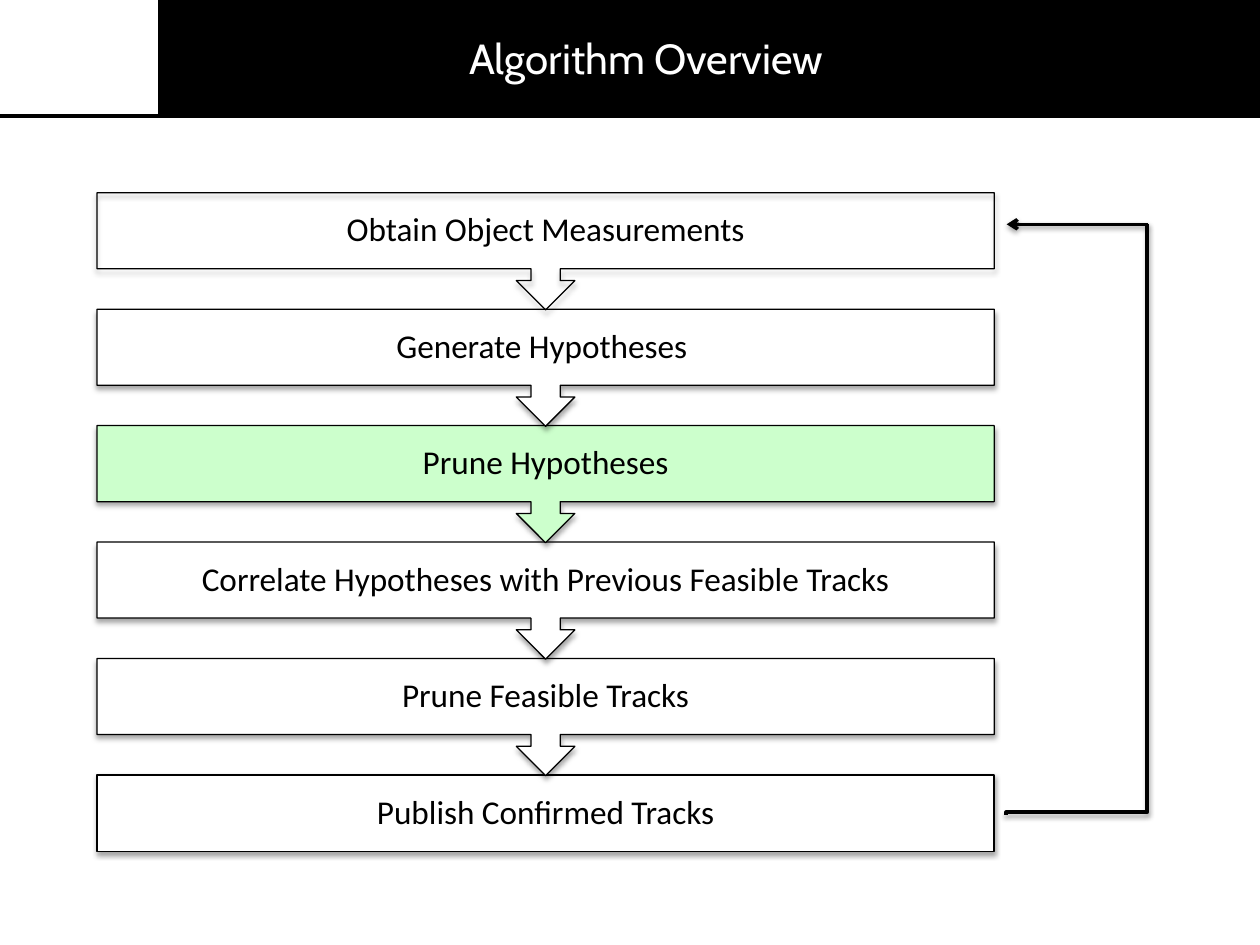
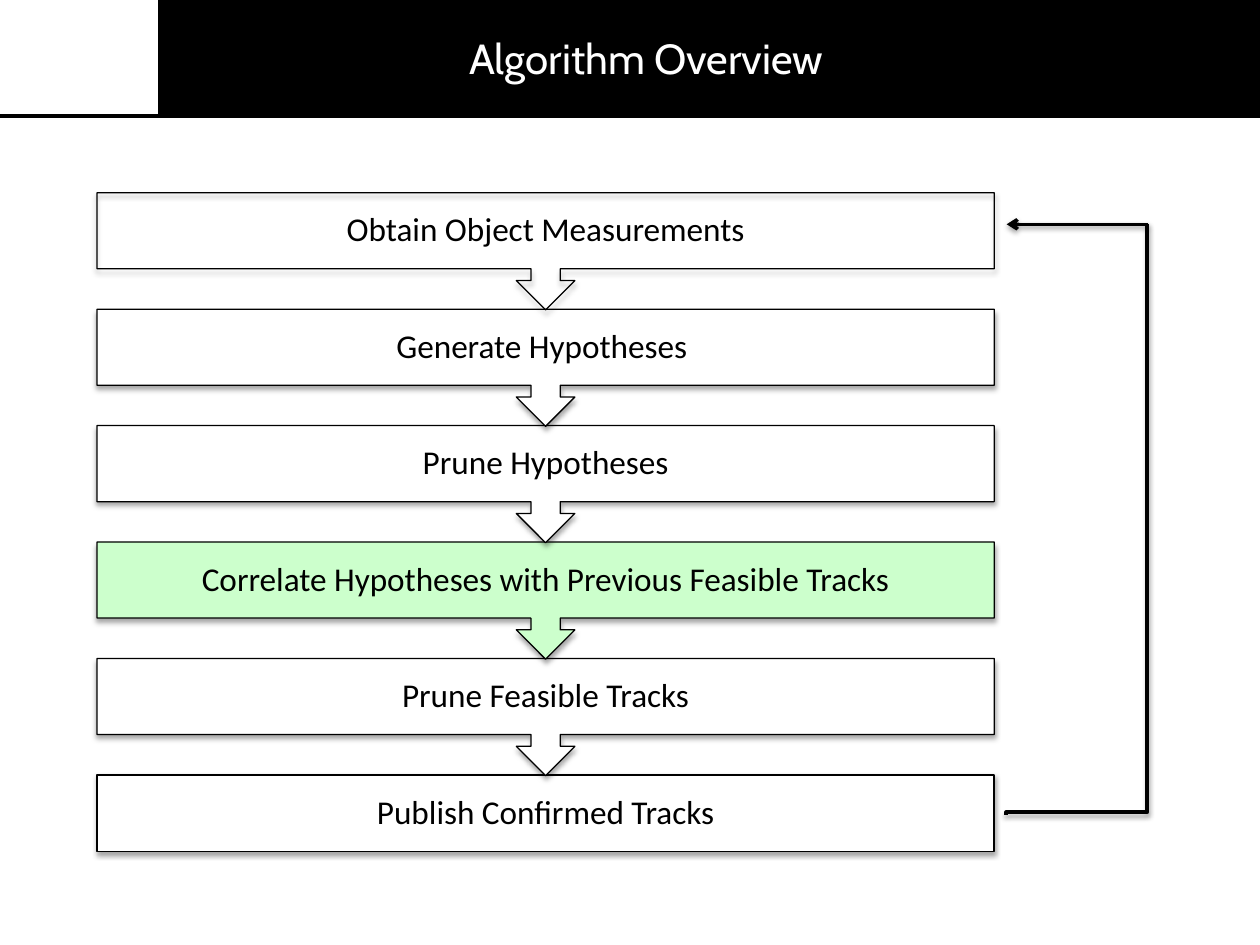
from dataclasses import dataclass

from lxml import etree
from pptx import Presentation
from pptx.dml.color import RGBColor
from pptx.enum.shapes import MSO_CONNECTOR, MSO_SHAPE
from pptx.enum.text import MSO_ANCHOR, MSO_AUTO_SIZE, PP_ALIGN
from pptx.oxml.ns import qn
from pptx.util import Inches, Pt

BLACK = RGBColor(0x00, 0x00, 0x00)
WHITE = RGBColor(0xFF, 0xFF, 0xFF)
HIGHLIGHT = RGBColor(0xCC, 0xFF, 0xCC)

RECTANGLE = MSO_SHAPE.RECTANGLE
CALLOUT = MSO_SHAPE.DOWN_ARROW_CALLOUT
STRAIGHT = MSO_CONNECTOR.STRAIGHT
ELBOW = MSO_CONNECTOR.ELBOW
CENTER = PP_ALIGN.CENTER
TOP = MSO_ANCHOR.TOP
MIDDLE = MSO_ANCHOR.MIDDLE
FIT_SHAPE = MSO_AUTO_SIZE.SHAPE_TO_FIT_TEXT

TITLE = "Algorithm Overview"
TITLE_ONLY = 5
STEPS = (
    "Obtain Object Measurements",
    "Generate Hypotheses ",
    "Prune Hypotheses",
    "Correlate Hypotheses with Previous Feasible Tracks",
    "Prune Feasible Tracks",
    "Publish Confirmed Tracks",
)
HIGHLIGHTED_STEPS = ("Prune Hypotheses", "Correlate Hypotheses with Previous Feasible Tracks")
STEP_LEFT, STEP_TOP, STEP_WIDTH = 0.77, 1.53, 7.12
STEP_PITCH, BOX_HEIGHT, CALLOUT_HEIGHT = 0.924, 0.61, 0.93
LABEL_INSET = Inches(0.15)


@dataclass(frozen=True)
class Shadow:
    """Soft black shadow falling straight down, in points and percent."""
    opacity: int
    blur: float
    distance: float


@dataclass(frozen=True)
class Area:
    """Rectangle on the page, in inches."""
    left: float
    top: float
    width: float
    height: float

    def lengths(self) -> tuple:
        """Return the four sides as slide lengths."""
        return tuple(Inches(side) for side in (self.left, self.top, self.width, self.height))


STEP_SHADOW = Shadow(35, 3.1, 1.8)
LOOP_SHADOW = Shadow(38, 3.1, 1.6)


def set_shadow(item, shadow: Shadow | None) -> None:
    """Give a shape or connector the shadow, or none at all."""
    effects = etree.SubElement(item.element.spPr, qn("a:effectLst"))
    if shadow is None:
        return
    outer = etree.SubElement(
        effects, qn("a:outerShdw"), blurRad=str(int(Pt(shadow.blur))),
        dist=str(int(Pt(shadow.distance))), dir="5400000", rotWithShape="0")
    color = etree.SubElement(outer, qn("a:srgbClr"), val=str(BLACK))
    etree.SubElement(color, qn("a:alpha"), val=str(shadow.opacity * 1000))


def add_panel(page, kind, area: Area, fill: RGBColor | None, shadow: Shadow | None = None):
    """Draw an outlined shape, hollow when no fill is given."""
    panel = page.shapes.add_shape(kind, *area.lengths())
    if fill is None:
        panel.fill.background()
    else:
        panel.fill.solid()
        panel.fill.fore_color.rgb = fill
    panel.line.color.rgb = BLACK
    panel.line.width = Pt(0.75)
    set_shadow(panel, shadow)
    return panel


def add_line(page, kind, start: tuple, end: tuple, shadow: Shadow | None = None):
    """Draw a black two-point connector between two places in inches."""
    line = page.shapes.add_connector(kind, *(Inches(value) for value in start + end))
    line.line.color.rgb = BLACK
    line.line.width = Pt(2)
    set_shadow(line, shadow)
    return line


def write_text(box, text: str, font: str, size: int, color: RGBColor):
    """Put one centred paragraph in a box and return it."""
    box.text_frame.word_wrap = True
    para = box.text_frame.paragraphs[0]
    para.text = text
    para.alignment = CENTER
    para.font.name = font
    para.font.size = Pt(size)
    para.font.color.rgb = color
    return para


def add_header(page) -> None:
    """Draw the black band and its rule, with the title on top."""
    add_line(page, STRAIGHT, (0, 0.92), (10, 0.92))
    band = add_panel(page, RECTANGLE, Area(1.26, 0, 8.74, 0.91), BLACK)
    title = page.shapes.title
    title.left, title.top, title.width, title.height = Area(1.31, 0.21, 7.64, 0.5).lengths()
    title.text_frame.vertical_anchor = TOP
    title.text_frame.auto_size = FIT_SHAPE
    write_text(title, TITLE, "Cabin", 24, WHITE)
    band.element.addnext(title.element)


def add_step(page, index: int, highlighted: str) -> None:
    """Draw one step of the flow, with an arrow unless it is the last."""
    text = STEPS[index]
    top = STEP_TOP + index * STEP_PITCH
    box_area = Area(STEP_LEFT, top, STEP_WIDTH, BOX_HEIGHT)
    callout_area = Area(STEP_LEFT, top, STEP_WIDTH, CALLOUT_HEIGHT)
    is_last = index == len(STEPS) - 1
    fill = HIGHLIGHT if text == highlighted else WHITE if index else None
    kind, area = (RECTANGLE, box_area) if is_last else (CALLOUT, callout_area)
    add_panel(page, kind, area, fill, STEP_SHADOW)

    label = page.shapes.add_textbox(*box_area.lengths())
    frame = label.text_frame
    frame.margin_left = frame.margin_right = LABEL_INSET
    frame.margin_top = frame.margin_bottom = LABEL_INSET
    frame.vertical_anchor = MIDDLE
    write_text(label, text, "Calibri", 19, BLACK).line_spacing = 0.9


def add_loop(page) -> None:
    """Draw the return path from the last step to the first."""
    arrow = add_line(page, STRAIGHT, (9.11, 1.78), (7.99, 1.78), LOOP_SHADOW)
    etree.SubElement(arrow.element.spPr.find(qn("a:ln")), qn("a:tailEnd"), type="arrow")

    bend = add_line(page, ELBOW, (6.2, 3.56), (10.89, 4.68), LOOP_SHADOW)
    properties = bend.element.spPr
    properties.find(qn("a:xfrm")).set("rot", "5400000")
    guides = properties.find(qn("a:prstGeom")).find(qn("a:avLst"))
    etree.SubElement(guides, qn("a:gd"), name="adj1", fmla="val 99600")


def add_overview(deck, highlighted: str) -> None:
    """Add the overview page with one step highlighted."""
    page = deck.slides.add_slide(deck.slide_layouts[TITLE_ONLY])
    add_header(page)
    for index in reversed(range(len(STEPS))):
        add_step(page, index, highlighted)
    add_loop(page)


def main() -> None:
    """Build and save the deck."""
    deck = Presentation()
    deck.slide_width, deck.slide_height = Inches(10), Inches(7.5)
    for step in HIGHLIGHTED_STEPS:
        add_overview(deck, step)
    deck.save("out.pptx")


if __name__ == "__main__":
    main()
